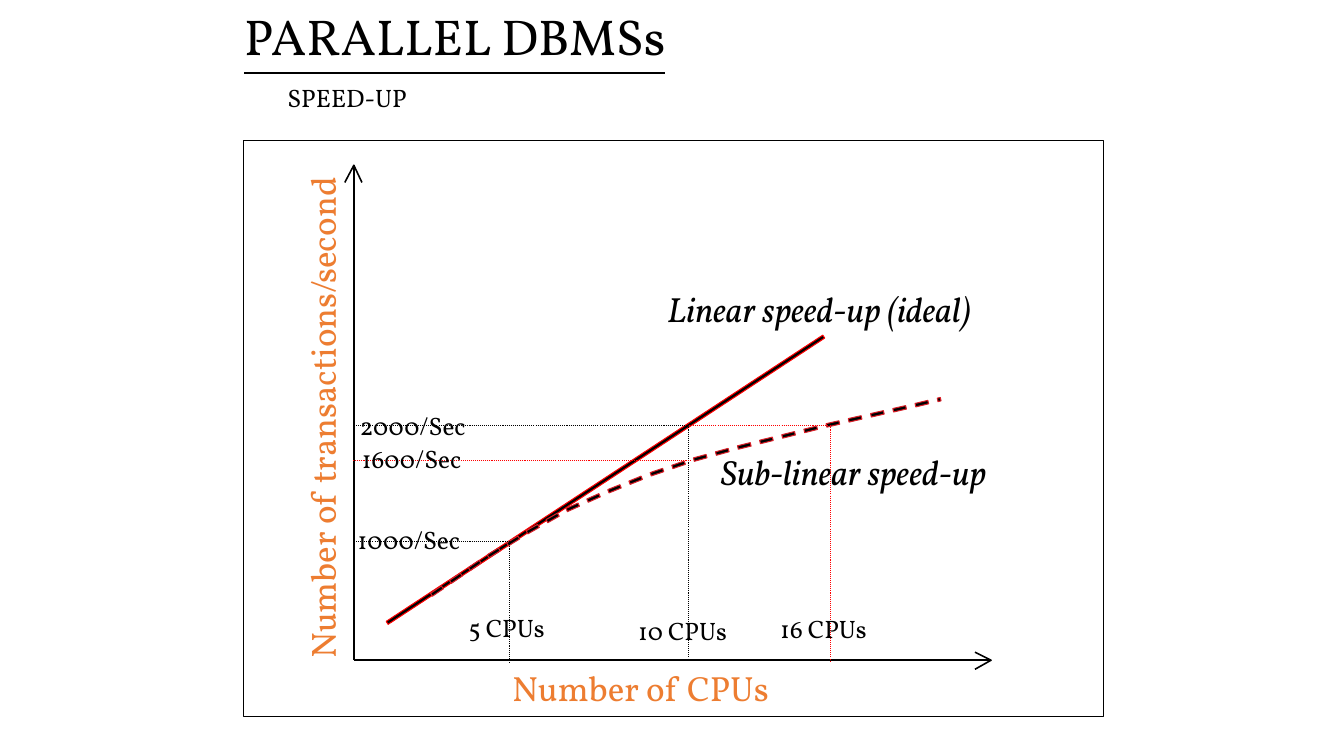
import math
from lxml import etree
from pptx import Presentation
from pptx import util as u
from pptx.dml.color import RGBColor
from pptx.enum import dml, shapes, text
from pptx.oxml.ns import qn

PX = 9144
BLACK = RGBColor(0x00, 0x00, 0x00)
WHITE = RGBColor(0xFF, 0xFF, 0xFF)
RED = RGBColor(0xFF, 0x00, 0x00)
CRIMSON = RGBColor(0xDA, 0x1F, 0x28)
ORANGE = RGBColor(0xED, 0x7D, 0x31)
FONT = "Vollkorn"

ORIGIN_X, ORIGIN_Y = 351, 655
HALF_THICKNESS = 1.75
DASH_LENGTH, DASH_PITCH = 13, 22.63
SUB_LINEAR = [(428, 590), (484, 552), (523, 528), (562, 506), (602, 488),
              (644, 471), (688, 456), (732, 444), (776, 433), (820, 422),
              (864, 412), (908, 402), (933, 396)]

GUIDES = [
    ((ORIGIN_X, 537), (506, 537), BLACK),
    ((505, 538), (505, 657), BLACK),
    ((683, 422), (683, ORIGIN_Y), BLACK),
    ((ORIGIN_X, 422), (683, 422), BLACK),
    ((683, 422), (821, 422), RED),
    ((824, 422), (824, 656), RED),
    ((685, 457), (350, 457), RED),
]
VALUE_LABELS = [
    ("1000/Sec", 345, 515, 113),
    ("5 CPUs", 455, 603, 100),
    ("2000/Sec", 347, 402, 113),
    ("10 CPUs", 623, 606, 112),
    ("16 CPUs", 764, 604, 112),
    ("1600/Sec", 349, 435, 113),
]


def emu(*lengths):
    return [round(length * PX) for length in lengths]


def write(frame, words, size=18, color=BLACK, italic=False, underline=False,
          wrap=False, inset=None):
    frame.word_wrap = wrap
    frame.auto_size = text.MSO_AUTO_SIZE.NONE
    frame.vertical_anchor = text.MSO_ANCHOR.TOP
    if inset is not None:
        frame.margin_left = frame.margin_right = inset
        frame.margin_top = frame.margin_bottom = inset
    paragraph = frame.paragraphs[0]
    paragraph.alignment = text.PP_ALIGN.LEFT
    paragraph.space_before = u.Pt(0)
    run = paragraph.add_run()
    run.text = words
    font = run.font
    font.name, font.size, font.color.rgb = FONT, u.Pt(size), color
    font.italic, font.underline = italic, underline


def add_label(slide, words, left, top, width, height, rotation=0, **look):
    label = slide.shapes.add_textbox(*emu(left, top, width, height))
    label.rotation = rotation
    write(label.text_frame, words, **look)


def fill_placeholder(holder, words, left, top, width, height, **look):
    holder.left, holder.top, holder.width, holder.height = emu(
        left, top, width, height)
    write(holder.text_frame, words, wrap=True, **look)


def remove_bullet(paragraph):
    props = paragraph._p.get_or_add_pPr()
    props.set("marL", "0")
    props.set("indent", "0")
    etree.SubElement(props, qn("a:buNone"))


def add_line(slide, start, end, color=BLACK, weight=0.75, dash=None):
    line = slide.shapes.add_connector(
        shapes.MSO_CONNECTOR.STRAIGHT, *emu(*start, *end))
    line.line.color.rgb = color
    line.line.width = u.Pt(weight)
    if dash:
        line.line.dash_style = dash
    etree.SubElement(line._element.spPr, qn("a:effectLst"))


def add_outline(slide, points, line_color, weight=0.75, fill=None):
    corners = [emu(*point) for point in points]
    builder = slide.shapes.build_freeform(*corners[0], scale=1.0)
    builder.add_line_segments(corners[1:], close=fill is not None)
    outline = builder.convert_to_shape()
    outline.shadow.inherit = False
    outline.line.color.rgb = line_color
    outline.line.width = u.Pt(weight)
    if fill is None:
        outline.fill.background()
    else:
        outline.fill.solid()
        outline.fill.fore_color.rgb = fill


def add_stroke(slide, start, end, edge):
    (x1, y1), (x2, y2) = start, end
    length = math.dist(start, end)
    dx = (y1 - y2) / length * HALF_THICKNESS
    dy = (x2 - x1) / length * HALF_THICKNESS
    corners = [(x1 - dx, y1 - dy), (x1 + dx, y1 + dy),
               (x2 + dx, y2 + dy), (x2 - dx, y2 - dy)]
    add_outline(slide, corners, edge, fill=BLACK)


def point_along(knots, distance):
    for (x1, y1), (x2, y2) in zip(knots, knots[1:]):
        span = math.dist((x1, y1), (x2, y2))
        if distance <= span:
            share = distance / span
            return x1 + (x2 - x1) * share, y1 + (y2 - y1) * share
        distance -= span
    return knots[-1]


def add_dashed_curve(slide, knots, edge):
    total = sum(math.dist(a, b) for a, b in zip(knots, knots[1:]))
    for index in range(math.ceil(total / DASH_PITCH)):
        begin = index * DASH_PITCH
        add_stroke(slide, point_along(knots, begin),
                   point_along(knots, begin + DASH_LENGTH), edge)


def add_axes(slide):
    top, right = 164, 983
    origin = (ORIGIN_X, ORIGIN_Y)
    tips = [
        ((ORIGIN_X, top), [(359, 181), (ORIGIN_X, top), (342, 181)]),
        ((right, ORIGIN_Y), [(967, 664), (right, ORIGIN_Y), (967, 647)]),
    ]
    for tip, arrowhead in tips:
        add_line(slide, origin, tip, weight=1.13)
        add_outline(slide, arrowhead, BLACK, weight=1.13)


def add_frame(slide):
    frame = slide.shapes.add_shape(
        shapes.MSO_SHAPE.RECTANGLE, *emu(242, 139, 853, 572))
    frame.shadow.inherit = False
    frame.fill.solid()
    frame.fill.fore_color.rgb = WHITE
    frame.line.color.rgb = BLACK
    frame.line.width = u.Pt(0.75)


def main():
    deck = Presentation()
    deck.slide_width, deck.slide_height = emu(1333, 750)
    slide = deck.slides.add_slide(deck.slide_layouts[1])
    title, subtitle = slide.placeholders
    fill_placeholder(title, "PARALLEL DBMSs", 232, 0, 893, 70,
                     size=36, underline=True)
    remove_bullet(subtitle.text_frame.paragraphs[0])
    fill_placeholder(subtitle, "SPEED-UP", 275, 77, 797, 57)

    add_frame(slide)
    add_axes(slide)
    add_stroke(slide, (384, 618), (817, 334), RED)
    add_dashed_curve(slide, SUB_LINEAR, CRIMSON)

    add_label(slide, "Sub-linear speed-up", 715, 447, 281, 42,
              size=25, italic=True, inset=0)
    add_label(slide, "Linear speed-up (ideal)", 662, 285, 328, 42,
              size=25, italic=True, inset=0)
    add_label(slide, "Number of CPUs", 508, 661, 255, 42,
              size=25, color=ORANGE, inset=0)
    add_label(slide, "Number of transactions/second", 89, 402, 461, 42,
              rotation=270, size=25, color=ORANGE, inset=0)

    for start, end, color in GUIDES:
        add_line(slide, start, end, color, dash=dml.MSO_LINE.ROUND_DOT)
    for words, left, top, width in VALUE_LABELS:
        add_label(slide, words, left, top, width, 40)

    deck.save("out.pptx")


if __name__ == "__main__":
    main()
